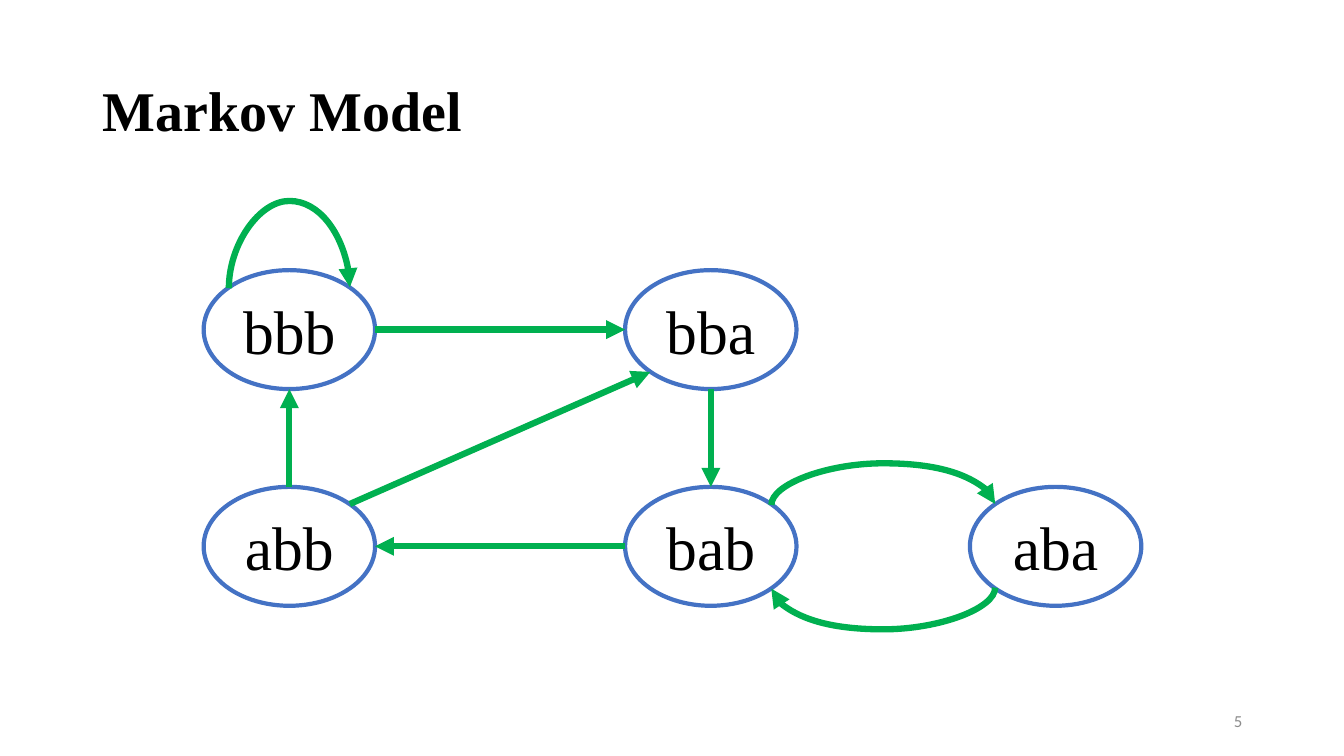
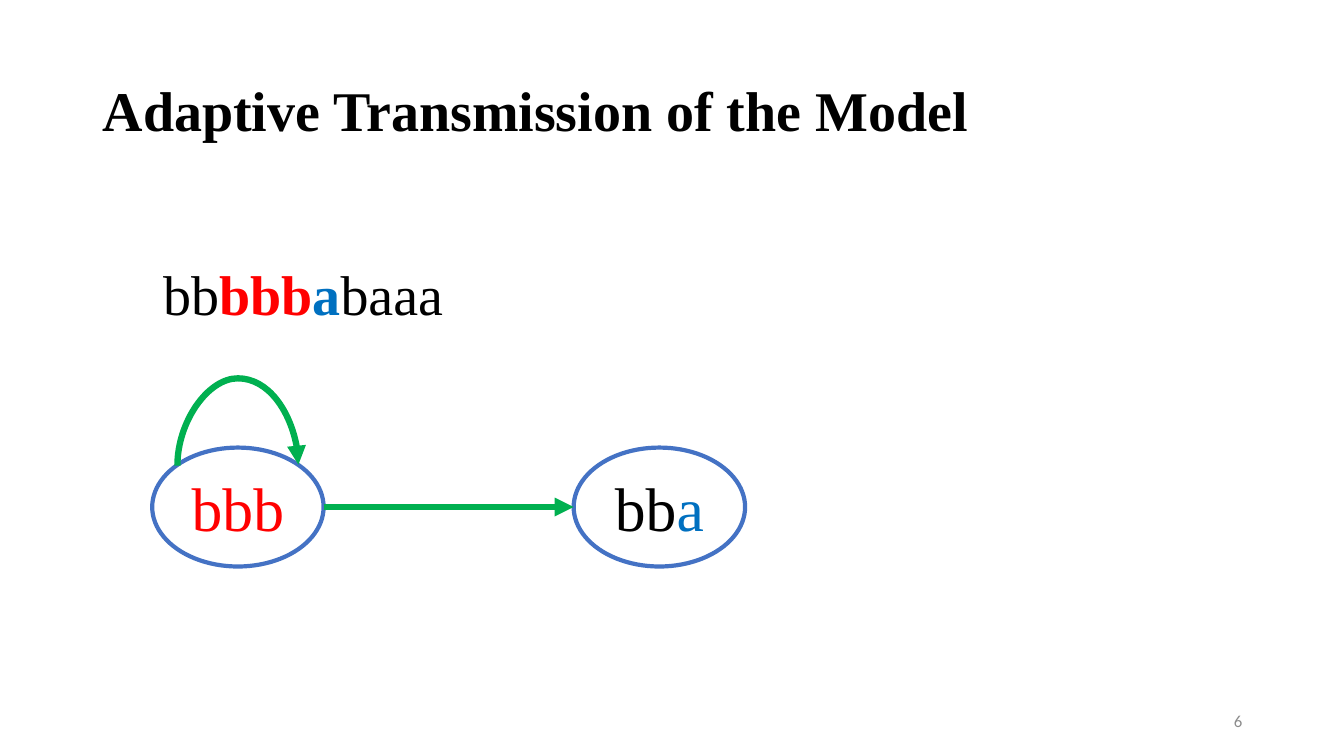
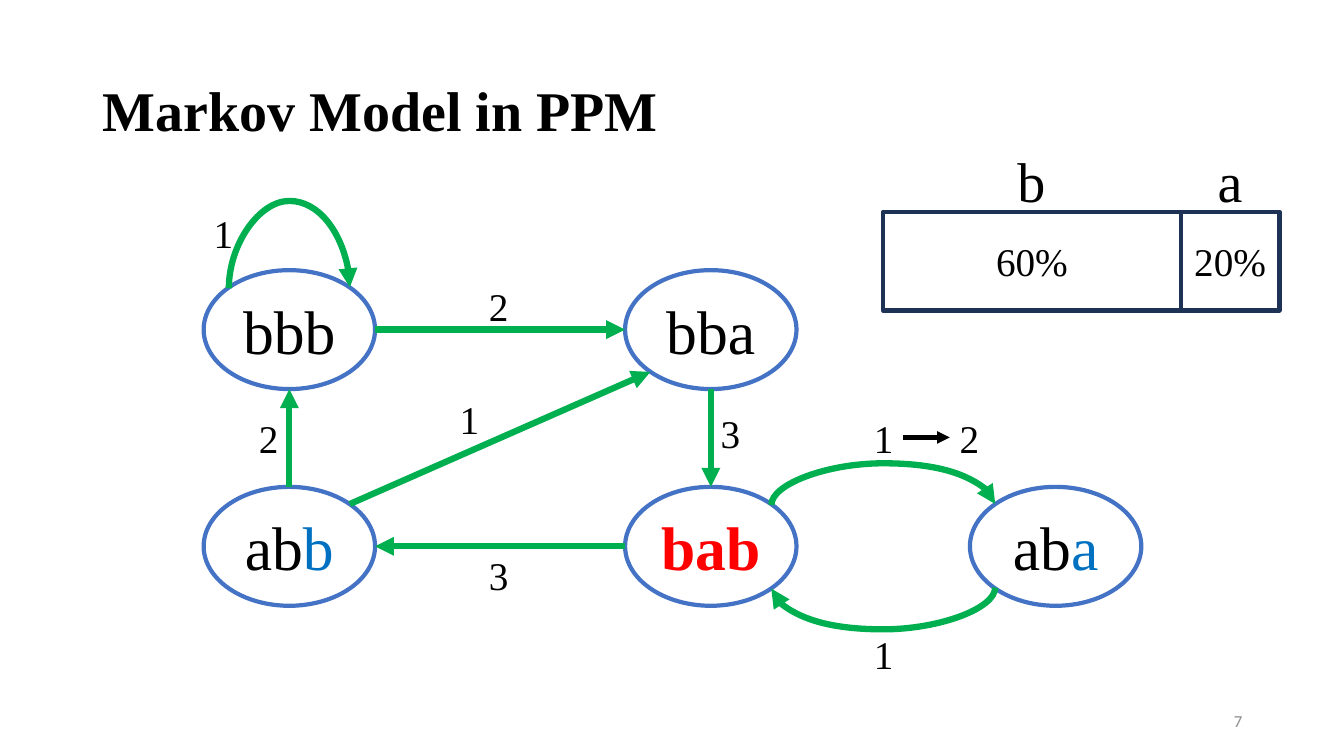
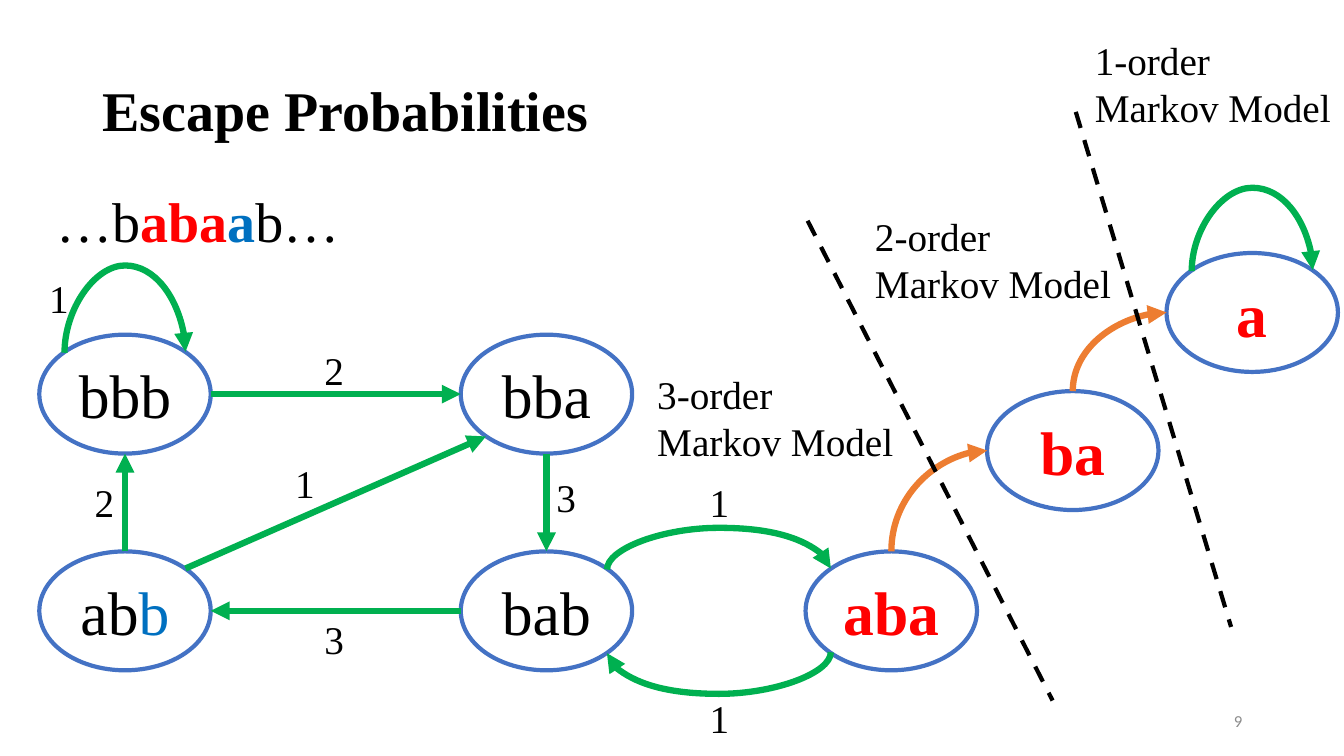
from dataclasses import dataclass
from math import cos, pi, sin
from typing import NamedTuple

from lxml import etree
from pptx import Presentation
from pptx.dml.color import RGBColor
from pptx.enum.dml import MSO_LINE
from pptx.enum.shapes import MSO_CONNECTOR, MSO_SHAPE
from pptx.enum.text import MSO_ANCHOR, PP_ALIGN
from pptx.oxml.ns import qn
from pptx.util import Emu, Pt

OVAL, RECTANGLE = MSO_SHAPE.OVAL, MSO_SHAPE.RECTANGLE
STRAIGHT, CURVE = MSO_CONNECTOR.STRAIGHT, MSO_CONNECTOR.CURVE
LEFT, CENTER, RIGHT = PP_ALIGN.LEFT, PP_ALIGN.CENTER, PP_ALIGN.RIGHT
TOP, MIDDLE = MSO_ANCHOR.TOP, MSO_ANCHOR.MIDDLE
DASH = MSO_LINE.DASH

EMU_PER_PX = 9144  # 100 px to the inch
COLORS = {
    "text": "000000",
    "context": "FF0000",
    "symbol": "0070C0",
    "state": "4472C4",
    "edge": "00B050",
    "escape": "ED7D31",
    "bar": "1E3256",
    "number": "8C8C8C",
}
SERIF, SANS = "Times New Roman", "Calibri"
STATE_WIDTH, STATE_HEIGHT = 170, 118
# Connection sites of an oval, counter-clockwise from the top
N, NW, W, SW, S, SE, E, NE = range(8)


class Run(NamedTuple):
    text: str
    color: str = "text"
    bold: bool = False


class Box(NamedTuple):
    left: int
    top: int
    width: int
    height: int


class Point(NamedTuple):
    x: float
    y: float


class Label(NamedTuple):
    text: str
    left: int
    top: int


@dataclass(frozen=True)
class State:
    name: str
    left: int
    top: int

    def site(self, index: int) -> Point:
        angle = pi / 2 + index * pi / 4
        return Point(round(self.left + STATE_WIDTH / 2 * (1 + cos(angle))),
                     round(self.top + STATE_HEIGHT / 2 * (1 - sin(angle))))


@dataclass(frozen=True)
class Edge:
    source: str
    source_site: int
    target: str
    target_site: int
    rise: int = 0  # height of an arc, negative when it hangs down
    hook: bool = False  # a quarter turn
    color: str = "edge"


STATES = [State("bbb", 202, 268), State("bba", 620, 268), State("abb", 202, 483),
          State("bab", 620, 483), State("aba", 962, 483)]
LOOP = Edge("bbb", NW, "bbb", NE, rise=88)
TO_BBA = Edge("bbb", E, "bba", W)
EDGES = [
    TO_BBA, LOOP,
    Edge("abb", N, "bbb", S),
    Edge("bab", W, "abb", E),
    Edge("bba", S, "bab", N),
    Edge("abb", NE, "bba", SW),
    Edge("bab", NE, "aba", NW, rise=42),
    Edge("aba", SW, "bab", SE, rise=-42),
]
COUNTS = [Label("2", 475, 275), Label("3", 705, 401), Label("3", 475, 542),
          Label("2", 247, 406), Label("1", 446, 387), Label("1", 857, 406),
          Label("1", 857, 620), Label("1", 202, 203)]


def px(length: float) -> Emu:
    return Emu(round(length * EMU_PER_PX))


def rgb(name: str) -> RGBColor:
    return RGBColor.from_string(COLORS[name])


# Text
def write(shape, runs: list[Run], *, size: int, font: str = SERIF, align=LEFT,
          anchor=TOP, wrap: bool = True, spacing: float | None = None) -> None:
    frame = shape.text_frame
    frame.word_wrap = wrap
    frame.vertical_anchor = anchor
    paragraph = frame.paragraphs[0]
    paragraph.alignment = align
    if spacing:
        paragraph.line_spacing = spacing
    for part in runs:
        for i, line in enumerate(part.text.split("\n")):
            if i:
                paragraph.add_line_break()
            run = paragraph.add_run()
            run.text = line
            run.font.name, run.font.size = font, Pt(size)
            run.font.bold = part.bold
            run.font.color.rgb = rgb(part.color)


def add_text(slide, box: Box, runs: list[Run], **text_format) -> None:
    write(slide.shapes.add_textbox(*map(px, box)), runs, **text_format)


def add_outline(slide, kind, box: Box, color: str, runs: list[Run], size: int):
    shape = slide.shapes.add_shape(kind, *map(px, box))
    shape.shadow.inherit = False
    shape.fill.background()
    shape.line.color.rgb = rgb(color)
    shape.line.width = Pt(3)
    write(shape, runs, size=size, align=CENTER, anchor=MIDDLE)
    return shape


# Lines and arrows
def add_line(slide, start: Point, end: Point, color: str, *, kind=STRAIGHT,
             width: float = 3, arrow: bool = True, dash=None):
    line = slide.shapes.add_connector(kind, *map(px, (*start, *end)))
    line.line.color.rgb = rgb(color)
    line.line.width = Pt(width)
    if dash:
        line.line.dash_style = dash
    properties = line._element.spPr
    if arrow:
        etree.SubElement(properties.find(qn("a:ln")), qn("a:tailEnd"), type="triangle")
    etree.SubElement(properties, qn("a:effectLst"))
    return line


def add_curve(slide, start: Point, end: Point, edge: Edge) -> None:
    """Draws the curve turned by 90 degrees, so that it leaves its start vertically."""
    if edge.rise:
        start = Point(start.x, end.y + (1 if edge.rise > 0 else -1))
    middle = Point((start.x + end.x) / 2, (start.y + end.y) / 2)
    begin, finish = (Point(middle.x + p.y - middle.y, middle.y - p.x + middle.x)
                     for p in (start, end))
    curve = add_line(slide, begin, finish, edge.color, kind=CURVE, width=4.5)
    properties = curve._element.spPr
    properties.find(qn("a:xfrm")).set("rot", "5400000")
    geometry = properties.find(qn("a:prstGeom"))
    if edge.hook:
        geometry.set("prst", "curvedConnector2")
    else:
        etree.SubElement(geometry.find(qn("a:avLst")), qn("a:gd"), name="adj1",
                         fmla=f"val {abs(edge.rise) * 100000}")


# Markov model
def add_model(slide, states: list[State], edges: list[Edge], dx: int = 0, dy: int = 0,
              styled: dict[str, list[Run]] | None = None) -> dict[str, State]:
    placed, ovals = {}, {}
    for state in states:
        name = state.name
        placed[name] = State(name, state.left + dx, state.top + dy)
        box = Box(placed[name].left, placed[name].top, STATE_WIDTH, STATE_HEIGHT)
        runs = (styled or {}).get(name, [Run(name)])
        ovals[name] = add_outline(slide, OVAL, box, "state", runs, 44)
    add_edges(slide, edges, placed, ovals)
    return placed


def add_edges(slide, edges: list[Edge], states: dict[str, State], ovals: dict) -> None:
    for edge in edges:
        start = states[edge.source].site(edge.source_site)
        end = states[edge.target].site(edge.target_site)
        if edge.rise or edge.hook:
            add_curve(slide, start, end, edge)
            continue
        arrow = add_line(slide, start, end, edge.color, width=4.5)
        joints = arrow._element.nvCxnSpPr.cNvCxnSpPr
        for tag, name, site in (("a:stCxn", edge.source, edge.source_site),
                                ("a:endCxn", edge.target, edge.target_site)):
            etree.SubElement(joints, qn(tag), id=str(ovals[name].shape_id), idx=str(site))


def add_counts(slide, counts: list[Label], dx: int = 0, dy: int = 0) -> None:
    for count in counts:
        add_text(slide, Box(count.left + dx, count.top + dy, 40, 57),
                 [Run(count.text)], size=28, wrap=False)


# Slides
def new_slide(deck, title: str, number: int):
    slide = deck.slides.add_slide(deck.slide_layouts[6])
    add_text(slide, Box(92, 40, 1150, 145), [Run(title, bold=True)], size=40,
             anchor=MIDDLE, spacing=0.9)
    add_text(slide, Box(942, 695, 300, 40), [Run(str(number), "number")], size=12,
             font=SANS, align=RIGHT, anchor=MIDDLE)
    return slide


def markov_model(deck) -> None:
    slide = new_slide(deck, "Markov Model", 5)
    add_model(slide, STATES, EDGES)


def adaptive_transmission(deck) -> None:
    slide = new_slide(deck, "Adaptive Transmission of the Model", 6)
    add_model(slide, STATES[:2], [TO_BBA, LOOP], -51, 176,
              {"bbb": [Run("bbb", "context")], "bba": [Run("bb"), Run("a", "symbol")]})
    add_text(slide, Box(152, 253, 328, 77),
             [Run("bb"), Run("bbb", "context", True), Run("a", "symbol", True), Run("baaa")],
             size=40)


def model_in_ppm(deck) -> None:
    slide = new_slide(deck, "Markov Model in PPM", 7)
    add_model(slide, STATES, EDGES, styled={
        "abb": [Run("ab"), Run("b", "symbol")],
        "bab": [Run("bab", "context", True)],
        "aba": [Run("ab"), Run("a", "symbol")],
    })
    add_counts(slide, COUNTS)

    # Probability bar
    left = 876
    for symbol, percent in (("b", 60), ("a", 20)):
        width = round(percent * 4.92)
        add_outline(slide, RECTANGLE, Box(left, 210, width, 98), "bar",
                    [Run(f"{percent}%")], 28)
        add_text(slide, Box(left + width // 2 - 24, 140, 48, 77), [Run(symbol)],
                 size=40, align=CENTER, wrap=False)
        left += width

    # Updated count
    add_line(slide, Point(896, 434), Point(942, 434), "text")
    add_counts(slide, [Label("2", 942, 406)])


def escape_probabilities(deck) -> None:
    slide = new_slide(deck, "Escape Probabilities", 9)
    add_text(slide, Box(46, 180, 317, 77),
             [Run("…b"), Run("aba", "context", True), Run("a", "symbol", True), Run("b…")],
             size=40)
    dx, dy = -163, 64
    states = add_model(slide, STATES, EDGES, dx, dy, {
        "abb": [Run("ab"), Run("b", "symbol")],
        "aba": [Run("aba", "context", True)],
    })
    add_counts(slide, COUNTS, dx, dy)

    # Lower orders and the escapes to them
    lower = [State("ba", 979, 388), State("a", 1157, 251)]
    states |= add_model(slide, lower, [Edge("a", NW, "a", NE, rise=84)],
                        styled={s.name: [Run(s.name, "context", True)] for s in lower})
    escapes = [Edge(source, N, target, W, hook=True, color="escape")
               for source, target in (("aba", "ba"), ("ba", "a"))]
    add_edges(slide, escapes, states, {})

    # Borders between the orders
    for start, end in ((Point(801, 219), Point(1044, 695)),
                       (Point(1067, 111), Point(1221, 622))):
        add_line(slide, start, end, "text", arrow=False, dash=DASH)
    for order, left, top in ((3, 642, 362), (2, 858, 206), (1, 1076, 31)):
        add_text(slide, Box(left, top, 257, 104), [Run(f"{order}-order\nMarkov Model")],
                 size=28)


def main() -> None:
    deck = Presentation()
    deck.slide_width, deck.slide_height = px(1333), px(750)
    for build in (markov_model, adaptive_transmission, model_in_ppm, escape_probabilities):
        build(deck)
    deck.save("out.pptx")


if __name__ == "__main__":
    main()
